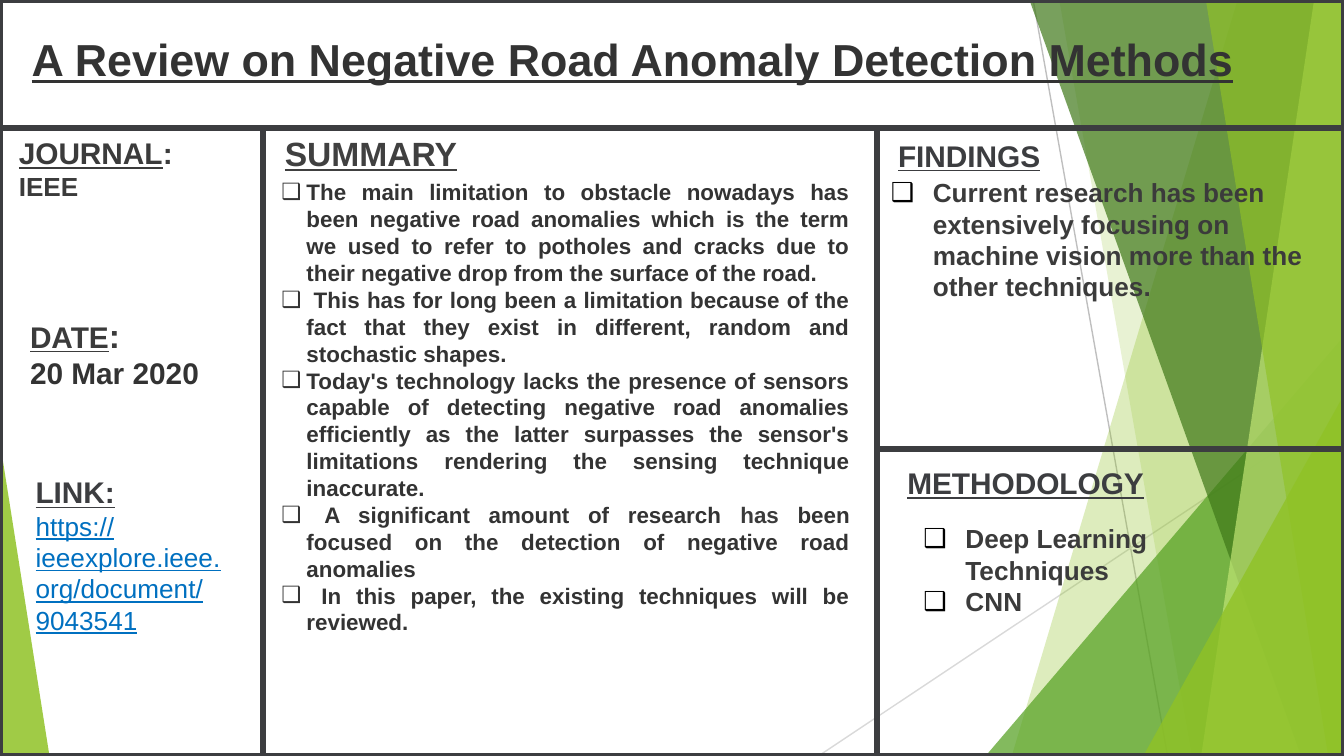
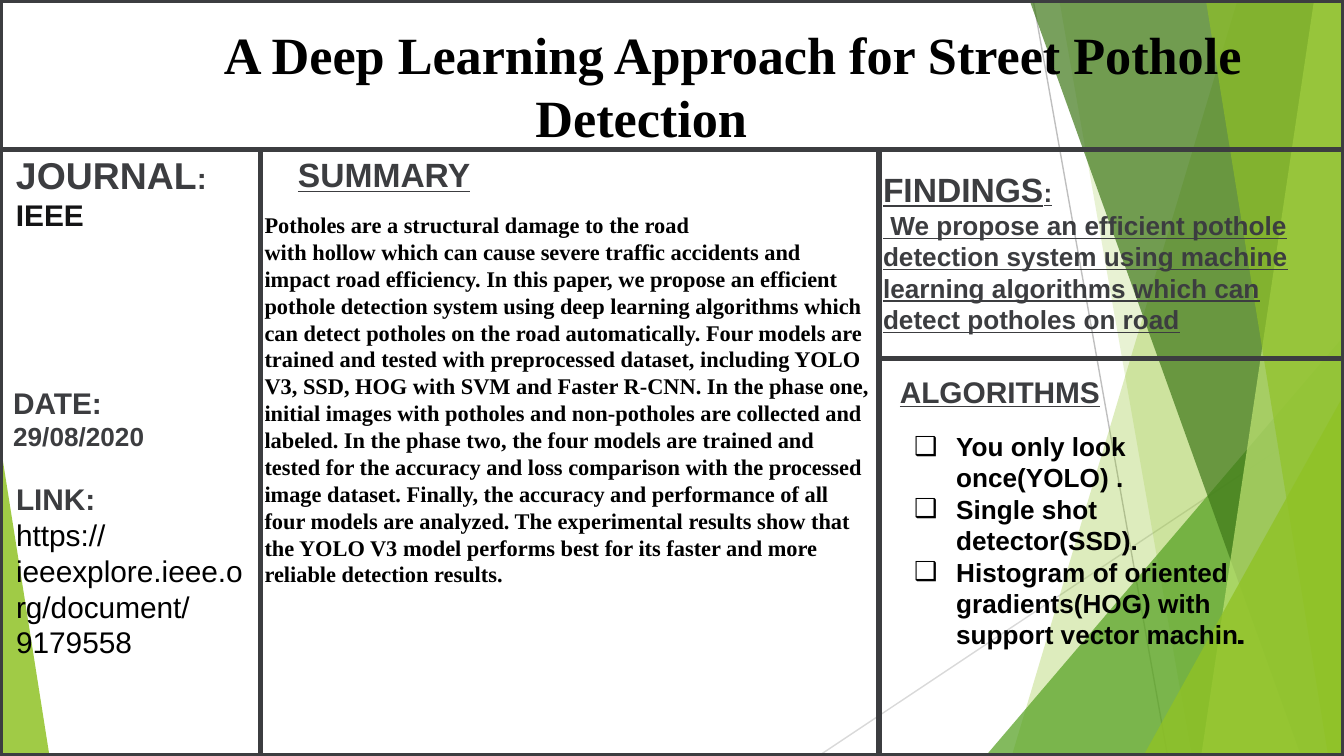
from lxml.etree import SubElement
from pptx import Presentation
from pptx.dml.color import RGBColor
from pptx.enum.shapes import MSO_CONNECTOR, MSO_SHAPE
from pptx.enum.text import MSO_ANCHOR, MSO_AUTO_SIZE, PP_ALIGN
from pptx.oxml.ns import qn
from pptx.util import Pt

WIDTH, HEIGHT = 720, 405
COMPARISON_LAYOUT = 4
FRAME, DARK, INK, GREY, BLACK = "3C3D40", "333333", "3B3B3B", "404040", "000000"
GREEN = "90C226"
BULLET = "❑"

# Slanted bands run from a top left x to a bottom left x, out to the right edge.
# Triangles have left, top, width, height and the position of the apex.
DECORATION = [
    ("band", (663, 542), GREEN, 30),
    ("band", (567.5, 638.5), GREEN, 20),
    ("triangle", (528, 180, 192, 225, 1), "54A021", 72),
    ("band", (551.5, 697), "3F7819", 70),
    ("band", (704, 643.5), "C0E474", 70),
    ("band", (646, 711.5), GREEN, 65),
    ("triangle", (612.5, 211.5, 107.5, 193.5, 1), GREEN, 80),
    ("triangle", (0, 237, 26.5, 168, 0), GREEN, 85),
]

HEADING = {"size": 16, "color": FRAME, "bold": True, "underline": True}
LABEL = {**HEADING, "underline": False}
BOLD = {"size": 14, "color": INK, "bold": True}


def rgb(color):
    return RGBColor.from_string(color)


def set_attributes(target, values):
    for name, value in values.items():
        setattr(target, name, value)


def set_run_font(font, style):
    values = {"name": "Arial", "size": 14, "bold": False, "underline": False, **style}
    color = values.pop("color", BLACK)
    values["size"] = Pt(values["size"])
    set_attributes(font, values)
    font.color.rgb = rgb(color)


def set_bullet(paragraph, hanging, color):
    """Give the paragraph a box bullet, or none when hanging is 0."""
    properties = paragraph._p.get_or_add_pPr()
    properties.set("marL", str(Pt(hanging)))
    properties.set("indent", str(-Pt(hanging)))
    if not hanging:
        SubElement(properties, qn("a:buNone"))
        return
    bullet_color = SubElement(properties, qn("a:buClr"))
    SubElement(bullet_color, qn("a:srgbClr"), val=color)
    SubElement(properties, qn("a:buFont"), typeface="Arial")
    SubElement(properties, qn("a:buChar"), char=BULLET)


class Board:
    """A framed review slide over the green background."""

    def __init__(self, presentation):
        layout = presentation.slide_layouts[COMPARISON_LAYOUT]
        self.slide = presentation.slides.add_slide(layout)
        self.shapes = self.slide.shapes
        self.bodies = list(self.slide.placeholders)[1:]
        self.draw_background()

    def draw_background(self):
        self.line(553.5, 0, 625.5, HEIGHT, "BFBFBF", 0.75)
        self.line(WIDTH, 217.5, 438.5, HEIGHT, "D9D9D9", 0.75)
        for kind, geometry, color, opacity in DECORATION:
            draw = self.band if kind == "band" else self.triangle
            self.paint(draw(*geometry), color, opacity)

    def band(self, top_x, bottom_x):
        builder = self.shapes.build_freeform(Pt(top_x), 0)
        corners = [(WIDTH, 0), (WIDTH, HEIGHT), (bottom_x, HEIGHT)]
        builder.add_line_segments([(Pt(x), Pt(y)) for x, y in corners], close=True)
        return builder.convert_to_shape()

    def triangle(self, left, top, width, height, apex):
        shape = self.shapes.add_shape(
            MSO_SHAPE.ISOSCELES_TRIANGLE, Pt(left), Pt(top), Pt(width), Pt(height))
        shape.adjustments[0] = apex
        return shape

    def paint(self, shape, color, opacity):
        shape.shadow.inherit = False
        shape.line.fill.background()
        shape.fill.solid()
        shape.fill.fore_color.rgb = rgb(color)
        color_element = shape._element.spPr.find(qn("a:solidFill"))[0]
        SubElement(color_element, qn("a:alpha"), val=str(opacity * 1000))

    def line(self, x1, y1, x2, y2, color=FRAME, width=3):
        connector = self.shapes.add_connector(
            MSO_CONNECTOR.STRAIGHT, Pt(x1), Pt(y1), Pt(x2), Pt(y2))
        connector.line.color.rgb = rgb(color)
        connector.line.width = Pt(width)
        SubElement(connector._element.spPr, qn("a:effectLst"))

    def frame(self, header, left_column, right_column, right_split):
        """Draw the outer border and the lines between the panels."""
        border = self.shapes.add_shape(MSO_SHAPE.RECTANGLE, 0, 0, Pt(WIDTH), Pt(HEIGHT))
        border.shadow.inherit = False
        border.fill.background()
        border.line.color.rgb = rgb(FRAME)
        border.line.width = Pt(3)
        self.line(0, header, WIDTH, header)
        for x in (left_column, right_column):
            self.line(x, header, x, HEIGHT)
        self.line(right_column, right_split, WIDTH, right_split)

    def set_text(self, shape, paragraphs, style, align=PP_ALIGN.LEFT, hanging=0,
                 bullet_color=BLACK, margins=(7.2, 3.6)):
        """Fill a shape; a paragraph is a text or a list of (text, style) runs."""
        frame = shape.text_frame
        side, edge = map(Pt, margins)
        set_attributes(frame, {
            "word_wrap": True, "auto_size": MSO_AUTO_SIZE.NONE,
            "vertical_anchor": MSO_ANCHOR.TOP, "margin_left": side,
            "margin_right": side, "margin_top": edge, "margin_bottom": edge})
        for index, runs in enumerate(paragraphs):
            paragraph = frame.add_paragraph() if index else frame.paragraphs[0]
            set_bullet(paragraph, hanging, bullet_color)
            set_attributes(paragraph, {
                "alignment": align, "line_spacing": 1.0,
                "space_before": Pt(0), "space_after": Pt(0)})
            for text, changes in [(runs, {})] if isinstance(runs, str) else runs:
                run = paragraph.add_run()
                run.text = text
                set_run_font(run.font, {**style, **changes})

    def place(self, placeholder, box):
        """Move a placeholder to a box, in front of what is drawn so far."""
        names = ("left", "top", "width", "height")
        set_attributes(placeholder, dict(zip(names, map(Pt, box))))
        element = placeholder._element
        element.getparent().append(element)
        return placeholder

    def title(self, box, text, style, first_indent=0, **options):
        title = self.place(self.shapes.title, box)
        self.set_text(title, [text], style, margins=(5, 2.5), **options)
        title.text_frame.paragraphs[0]._p.pPr.set("indent", str(Pt(first_indent)))

    def body(self, box, paragraphs, style, **options):
        self.set_text(self.place(self.bodies.pop(0), box), paragraphs, style, **options)

    def text(self, box, paragraphs, style):
        self.set_text(self.shapes.add_textbox(*map(Pt, box)), paragraphs, style)

    def remove_empty_placeholders(self):
        for placeholder in self.bodies:
            placeholder._element.getparent().remove(placeholder._element)


def build_anomaly_review(presentation):
    board = Board(presentation)
    board.frame(header=68.5, left_column=141, right_column=470, right_split=240.5)
    board.title((12, 14.5, 671, 63), "A Review on Negative Road Anomaly Detection Methods",
                {**HEADING, "size": 24, "color": DARK})
    board.text((3, 68.5, 130, 44), [
        [("JOURNAL", {}), (":", {"underline": False})],
        [("IEEE", {"size": 14, "underline": False})],
    ], {**HEADING, "color": INK})
    board.text((9, 165, 122, 68), [
        [("DATE", {}), (":", {"size": 18, "underline": False})],
        [("20 Mar 2020", {"color": DARK, "underline": False})],
    ], {**HEADING, "color": INK})
    board.text((12, 250.5, 116, 78), [
        "LINK:",
        [("https://ieeexplore.ieee.org/document/9043541",
          {"size": 14, "color": "0070C0", "bold": False})],
    ], HEADING)
    board.text((145.5, 67.5, 162, 29), ["SUMMARY"], {**HEADING, "size": 18, "color": GREY})
    board.text((474, 70, 101, 27), ["FINDINGS"], HEADING)
    board.text((479, 245.5, 168, 27), ["METHODOLOGY"], HEADING)
    board.body((143.5, 92, 319, 254), [
        "The main limitation to obstacle nowadays has been negative road anomalies which is "
        "the term we used to refer to potholes and cracks due to their negative drop from "
        "the surface of the road.",
        " This has for long been a limitation because of the fact that they exist in "
        "different, random and stochastic shapes.",
        "Today's technology lacks the presence of sensors capable of detecting negative road "
        "anomalies efficiently as the latter surpasses the sensor's limitations rendering "
        "the sensing technique inaccurate.",
        [(" A significant amount of research ", {}), ("has", {"color": INK}),
         (" been focused on the detection of negative road anomalies", {})],
        " In this paper, the existing techniques will be reviewed.",
    ], {**BOLD, "size": 12, "color": DARK},
        align=PP_ALIGN.JUSTIFY, hanging=13.5, bullet_color=DARK)
    board.body((470, 91, 244, 75), [
        "Current research has been extensively focusing on machine vision more than the "
        "other techniques."], BOLD, hanging=22.5)
    board.body((487.5, 276.5, 209.5, 75), ["Deep Learning Techniques", "CNN"],
               BOLD, hanging=22.5)
    board.remove_empty_placeholders()


def build_pothole_approach(presentation):
    board = Board(presentation)
    board.frame(header=80, left_column=139.5, right_column=471, right_split=192)
    board.title((6, 9.5, 675, 73.5), "A Deep Learning Approach for Street Pothole Detection",
                {"name": "Times New Roman", "size": 28, "bold": True},
                first_indent=98, align=PP_ALIGN.CENTER)
    board.text((1.5, 78, 138, 51), [
        [("JOURNAL", {"size": 20}), (":", {})],
        [("IEEE", {"color": "141415"})],
    ], LABEL)
    board.text((0, 202.5, 127, 44), ["DATE:", [("29/08/2020", {"size": 14})]], LABEL)
    board.text((1.5, 254, 140.5, 85), [
        "LINK:",
        [("https://ieeexplore.ieee.org/document/9179558", {"color": BLACK, "bold": False})],
    ], LABEL)
    board.text((152.5, 79, 173.5, 29), ["SUMMARY"], {**HEADING, "size": 18})
    board.text((466, 87, 255, 97), [
        [("FINDINGS", {"size": 18}), (":", {})],
        " We propose an efficient pothole detection system using machine learning "
        "algorithms which can detect potholes on road",
    ], {**HEADING, "size": 14})
    board.text((475, 196.5, 127.5, 27), ["ALGORITHMS"], HEADING)
    board.body((482.5, 227, 209.5, 126), [
        "You only look once(YOLO) .",
        "Single shot detector(SSD).",
        "Histogram of oriented gradients(HOG) with support vector machin.\t.",
    ], {**BOLD, "color": BLACK}, hanging=22.5)
    board.body((134.5, 109.5, 363, 211), [
        "Potholes are a structural damage to the road",
        "with hollow which can cause severe traffic accidents and",
        "impact road efficiency. In this paper, we propose an efficient",
        "pothole detection system using deep learning algorithms which",
        "can detect potholes on the road automatically. Four models are",
        "trained and tested with preprocessed dataset, including YOLO",
        "V3, SSD, HOG with SVM and Faster R-CNN. In the phase one,",
        "initial images with potholes and non-potholes are collected and",
        "labeled. In the phase two, the four models are trained and",
        "tested for the accuracy and loss comparison with the processed",
        "image dataset. Finally, the accuracy and performance of all",
        "four models are analyzed. The experimental results show that",
        "the YOLO V3 model performs best for its faster and more",
        "reliable detection results.",
    ], {"name": "Times New Roman", "size": 12, "bold": True})
    board.remove_empty_placeholders()


def main():
    presentation = Presentation()
    presentation.slide_width, presentation.slide_height = Pt(WIDTH), Pt(HEIGHT)
    build_anomaly_review(presentation)
    build_pothole_approach(presentation)
    presentation.save("out.pptx")


if __name__ == "__main__":
    main()
